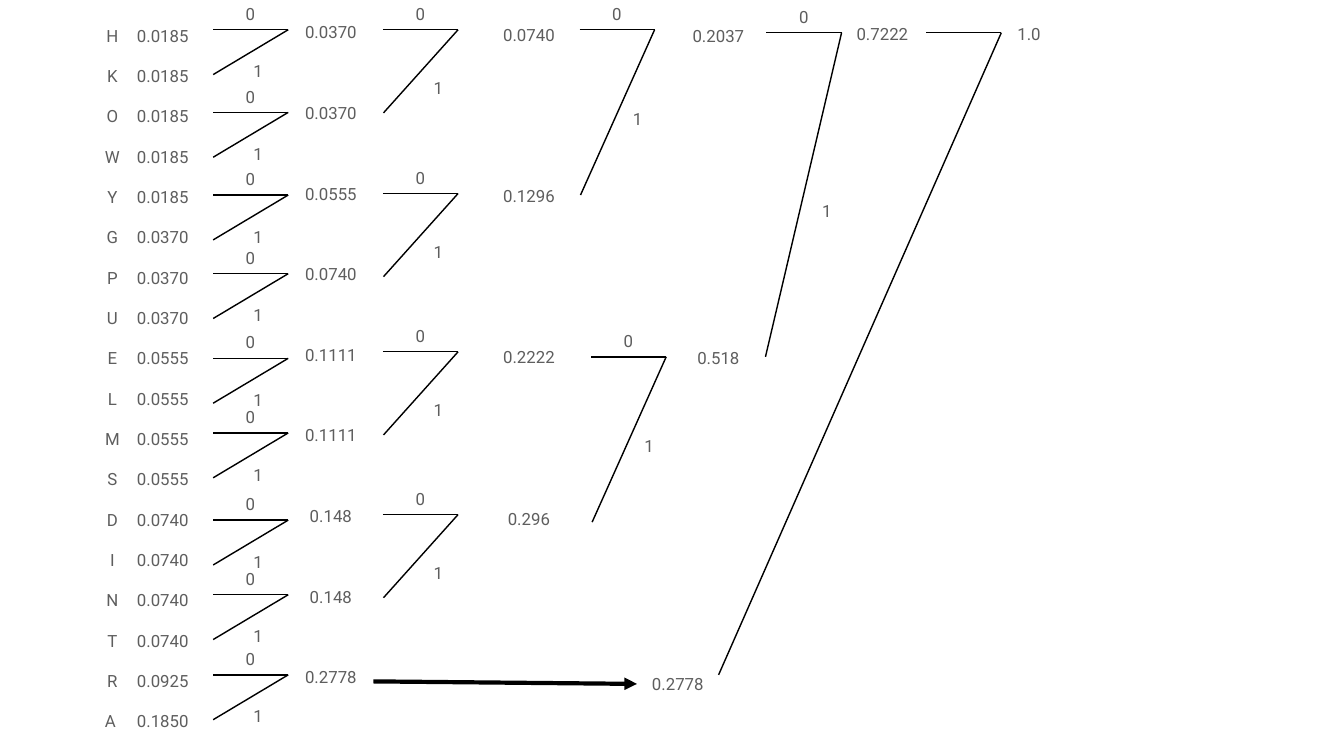
"""Build a slide showing a Huffman code tree with its symbol probabilities."""
import dataclasses

import pptx
import pptx.dml.color
import pptx.enum.shapes
import pptx.enum.text
import pptx.oxml.ns
import pptx.util
from lxml import etree


@dataclasses.dataclass(frozen=True)
class Theme:
    font: str = "Roboto"
    size: float = 24
    line_height: float = 28.8
    text: str = "5E5E5E"
    branch: str = "000000"
    branch_width: float = 2
    arrow_width: float = 6


theme = Theme()
deck = pptx.Presentation()
deck.slide_width = pptx.util.Inches(26.67)
deck.slide_height = pptx.util.Inches(15)
grid_rows = 15
cell = deck.slide_height / grid_rows
page = deck.slides.add_slide(deck.slide_layouts[6])


def write(text, left, top, width=0.78, height=0.52, rows=1, color=theme.text, size=theme.size):
    box = page.shapes.add_textbox(*(round(cell * part) for part in (left, top, width, height)))
    frame = box.text_frame
    frame.word_wrap = True
    frame.vertical_anchor = pptx.enum.text.MSO_ANCHOR.MIDDLE
    frame.margin_left = frame.margin_right = round(cell * 0.06)
    frame.margin_top = frame.margin_bottom = round(cell * 0.06)
    for index, value in enumerate(text.split("|")):
        para = frame.paragraphs[0] if index == 0 else frame.add_paragraph()
        para.alignment = pptx.enum.text.PP_ALIGN.CENTER
        if index:
            para.space_before = pptx.util.Pt((rows - 1) * theme.line_height)
        span = para.add_run()
        span.text = value
        span.font.name = theme.font
        span.font.size = pptx.util.Pt(size)
        span.font.color.rgb = pptx.dml.color.RGBColor.from_string(color)


def draw_line(start, end, width=theme.branch_width):
    line = page.shapes.add_connector(
        pptx.enum.shapes.MSO_CONNECTOR.STRAIGHT,
        *(round(cell * part) for part in (*start, *end)),
    )
    line.line.color.rgb = pptx.dml.color.RGBColor.from_string(theme.branch)
    line.line.width = pptx.util.Pt(width)
    etree.SubElement(line._element.spPr, pptx.oxml.ns.qn("a:effectLst"))
    return line


symbols = "H|K|O|W|Y|G|P|U|E|L|M|S|D|I|N|T|R|A "
probabilities = "|".join(
    ["0.0185"] * 5 + ["0.0370"] * 3 + ["0.0555"] * 4 + ["0.0740"] * 4 + ["0.0925", "0.1850"]
)
pairs = "0.0370|0.0370|0.0555|0.0740|0.1111|0.1111|0.148|0.148|0.2778"

columns = [
    (symbols, 1.81, 0.38, 0.84, 14.25, 2),
    (probabilities, 2.23, 0.38, 2, 14.25, 2),
    (pairs, 5.82, 0.11, 1.49, 13.85, 4),
    ("0.0740|0.1296|0.2222|0.296", 9.74, 0.38, 1.51, 10.21, 8),
    ("0.2037|0.518", 13.45, 0.41, 1.61, 6.98, 16),
    ("0.7222", 16.93, 0.41, 1.16, 0.52, 1),
    ("0.2778", 12.87, 13.31, 1.16, 0.52, 1),
    ("1.0", 20.07, 0.41, 0.7, 0.52, 1),
]
for values, left, top, width, height, rows in columns:
    write(values, left, top, width=width, height=height, rows=rows)

fork_width = 1.49
zero_offset = (0.35, -0.58)
fork_levels = [
    ([(4.23, top) for top in (0.59, 2.23, 3.87, 5.43, 7.11, 8.59, 10.32, 11.8, 13.39)],
     (0, 0.89), (0.5, 0.56)),
    ([(7.6, top) for top in (0.59, 3.84, 6.98, 10.21)], (0.01, 1.65), (0.71, 0.89)),
    ([(11.5, 0.59), (11.73, 7.08)], (0.02, 3.28), (0.76, 1.51)),
    ([(15.21, 0.65)], (-0.02, 6.43), (0.81, 3.27)),
    ([(18.38, 0.65)], (-4.12, 12.74), None),
]
for forks, foot, one_offset in fork_levels:
    for left, top in forks:
        tip = (left + fork_width, top)
        draw_line((left, top), tip)
        draw_line((left + foot[0], top + foot[1]), tip)
        if one_offset:
            for digit, offset in (("0", zero_offset), ("1", one_offset)):
                write(digit, left + offset[0], max(0, top + offset[1]))

arrow = draw_line((7.41, 13.52), (12.64, 13.57), width=theme.arrow_width)
etree.SubElement(arrow.line._get_or_add_ln(), pptx.oxml.ns.qn("a:tailEnd"), type="triangle")

deck.save("out.pptx")
